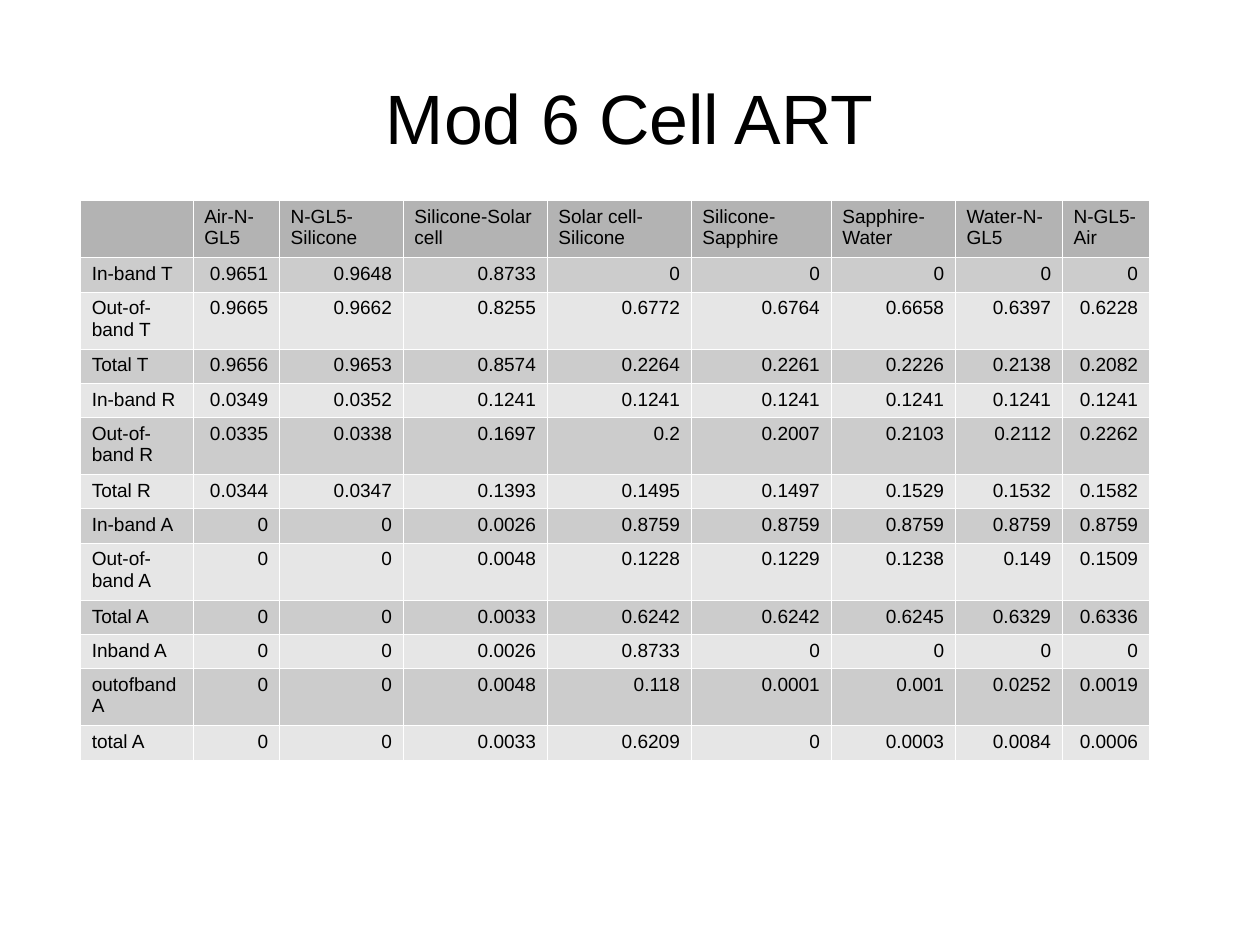
from dataclasses import dataclass

from lxml.etree import SubElement
from pptx import Presentation
from pptx.dml.color import RGBColor
from pptx.enum.text import MSO_ANCHOR, PP_ALIGN
from pptx.oxml.ns import qn
from pptx.util import Cm, Pt

BLACK = RGBColor(0x00, 0x00, 0x00)
WHITE = RGBColor(0xFF, 0xFF, 0xFF)
HEADER_GREY = RGBColor(0xB3, 0xB3, 0xB3)
BAND_GREYS = (RGBColor(0xE6, 0xE6, 0xE6), RGBColor(0xCC, 0xCC, 0xCC))

FLAT_ROW, TALL_ROW = Cm(0.76), Cm(1.27)
TITLE_FONT = {"name": "Arial", "size": Pt(44)}
CELL_FONT = {"name": "Arial", "size": Pt(12)}
CELL_FORMAT = {
    "margin_left": Cm(0.25),
    "margin_right": Cm(0.25),
    "margin_top": Cm(0.13),
    "margin_bottom": Cm(0.13),
    "vertical_anchor": MSO_ANCHOR.TOP,
}


@dataclass
class Column:
    heading: str
    width: float


@dataclass
class Row:
    label: str
    values: str
    tall: bool = False


COLUMNS = [
    Column("", 2.5),
    Column("Air-N-GL5", 1.92),
    Column("N-GL5-Silicone", 2.75),
    Column("Silicone-Solar cell", 3.2),
    Column("Solar cell-Silicone", 3.2),
    Column("Silicone-Sapphire", 3.11),
    Column("Sapphire-Water", 2.76),
    Column("Water-N-GL5", 2.38),
    Column("N-GL5-Air", 1.93),
]

ROWS = [
    Row("In-band T", "0.9651 0.9648 0.8733 0 0 0 0 0"),
    Row("Out-of-band T", "0.9665 0.9662 0.8255 0.6772 0.6764 0.6658 0.6397 0.6228", True),
    Row("Total T", "0.9656 0.9653 0.8574 0.2264 0.2261 0.2226 0.2138 0.2082"),
    Row("In-band R", "0.0349 0.0352 0.1241 0.1241 0.1241 0.1241 0.1241 0.1241"),
    Row("Out-of-band R", "0.0335 0.0338 0.1697 0.2 0.2007 0.2103 0.2112 0.2262", True),
    Row("Total R", "0.0344 0.0347 0.1393 0.1495 0.1497 0.1529 0.1532 0.1582"),
    Row("In-band A", "0 0 0.0026 0.8759 0.8759 0.8759 0.8759 0.8759"),
    Row("Out-of-band A", "0 0 0.0048 0.1228 0.1229 0.1238 0.149 0.1509", True),
    Row("Total A", "0 0 0.0033 0.6242 0.6242 0.6245 0.6329 0.6336"),
    Row("Inband A", "0 0 0.0026 0.8733 0 0 0 0"),
    Row("outofband A", "0 0 0.0048 0.118 0.0001 0.001 0.0252 0.0019", True),
    Row("total A", "0 0 0.0033 0.6209 0 0.0003 0.0084 0.0006"),
]


def apply_format(target, values: dict) -> None:
    for name, value in values.items():
        setattr(target, name, value)


def write_text(p, text: str, font: dict, align: PP_ALIGN) -> None:
    p.alignment = align
    r = p.add_run()
    r.text = text
    apply_format(r.font, font)
    r.font.color.rgb = BLACK


def add_borders(cell) -> None:
    tc_pr = cell._tc.get_or_add_tcPr()
    for i, side in enumerate(("lnL", "lnR", "lnT", "lnB")):
        ln = SubElement(tc_pr, qn(f"a:{side}"), w=str(Pt(0.06)))
        fill = SubElement(ln, qn("a:solidFill"))
        SubElement(fill, qn("a:srgbClr"), val=str(WHITE))
        tc_pr.insert(i, ln)


def fill_cell(cell, text: str, grey: RGBColor, align: PP_ALIGN) -> None:
    apply_format(cell, CELL_FORMAT)
    cell.fill.solid()
    cell.fill.fore_color.rgb = grey
    add_borders(cell)
    if text:
        write_text(cell.text_frame.paragraphs[0], text, CELL_FONT, align)


def add_title(s, text: str) -> None:
    sp = s.shapes.title
    apply_format(sp, {"left": Cm(1.4), "top": Cm(0.84), "width": Cm(25.2), "height": Cm(3.5)})
    tf = sp.text_frame
    apply_format(tf, {
        "margin_left": 0, "margin_right": 0, "margin_top": 0, "margin_bottom": 0,
        "vertical_anchor": MSO_ANCHOR.MIDDLE, "word_wrap": True,
    })
    write_text(tf.paragraphs[0], text, TITLE_FONT, PP_ALIGN.CENTER)


def add_results_table(s) -> None:
    heights = [TALL_ROW] + [TALL_ROW if row.tall else FLAT_ROW for row in ROWS]
    widths = [Cm(column.width) for column in COLUMNS]
    table = s.shapes.add_table(
        len(heights), len(widths), Cm(1.79), Cm(4.45), sum(widths), sum(heights)
    ).table
    for column, width in zip(table.columns, widths):
        column.width = width
    for row, height in zip(table.rows, heights):
        row.height = height

    # Header row
    for c, column in enumerate(COLUMNS):
        fill_cell(table.cell(0, c), column.heading, HEADER_GREY, PP_ALIGN.LEFT)

    # Banded rows: label on the left, figures on the right
    for n, row in enumerate(ROWS, start=1):
        for c, text in enumerate([row.label, *row.values.split()]):
            align = PP_ALIGN.RIGHT if c else PP_ALIGN.LEFT
            fill_cell(table.cell(n, c), text, BAND_GREYS[n % 2], align)


def main() -> None:
    prs = Presentation()
    prs.slide_width, prs.slide_height = Cm(28), Cm(21)
    s = prs.slides.add_slide(prs.slide_layouts[5])
    add_title(s, "Mod 6 Cell ART")
    add_results_table(s)
    prs.save("out.pptx")


if __name__ == "__main__":
    main()
